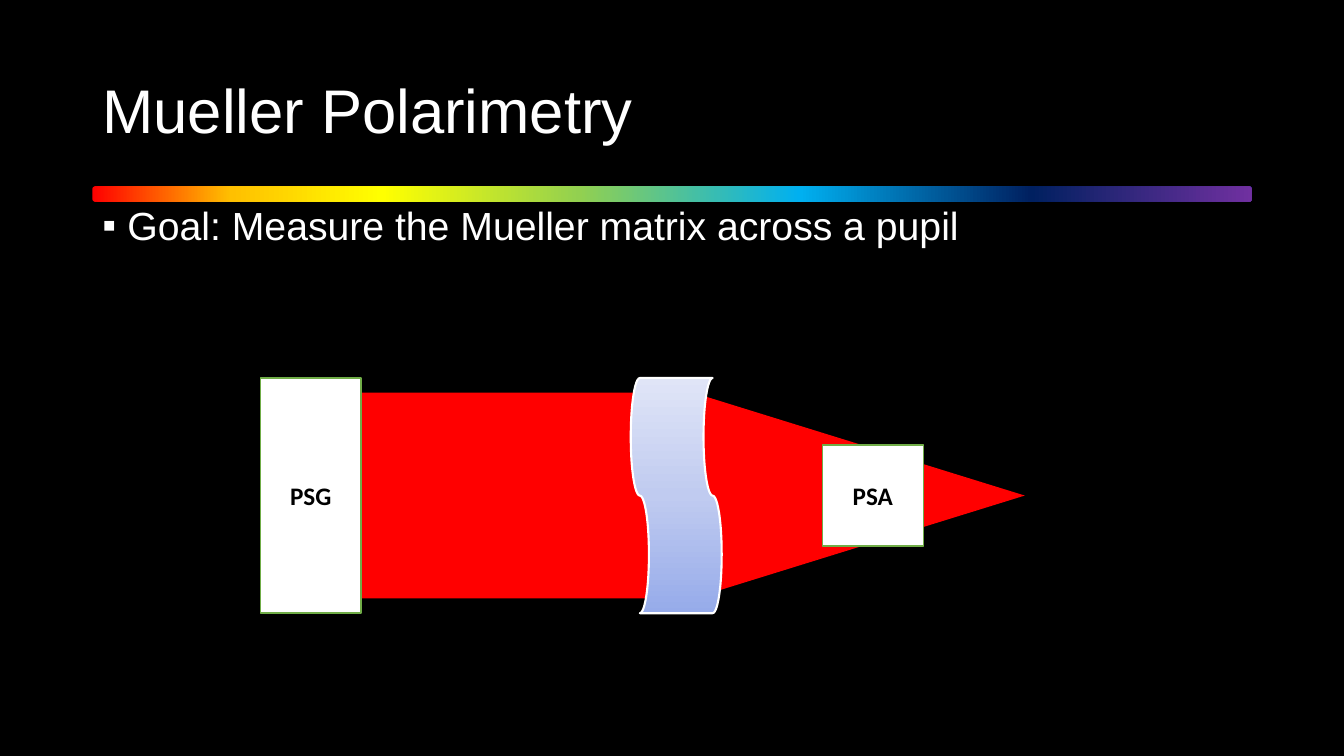
"""Build the Mueller polarimetry slide."""
from lxml import etree
from pptx import Presentation
from pptx.dml.color import RGBColor
from pptx.enum.shapes import MSO_SHAPE
from pptx.enum.text import MSO_ANCHOR, PP_ALIGN
from pptx.oxml.ns import qn
from pptx.util import Pt

RECT, ROUND = MSO_SHAPE.RECTANGLE, MSO_SHAPE.ROUNDED_RECTANGLE
TRIANGLE, TAPE = MSO_SHAPE.ISOSCELES_TRIANGLE, MSO_SHAPE.WAVE
TAPE = MSO_SHAPE.FLOWCHART_PUNCHED_TAPE
TOP, MIDDLE = MSO_ANCHOR.TOP, MSO_ANCHOR.MIDDLE
LEFT, CENTER = PP_ALIGN.LEFT, PP_ALIGN.CENTER

BLACK, WHITE, RED, GREEN = "000000", "FFFFFF", "FF0000", "70AD47"
RAINBOW = [(0, RED), (12, "FFC000"), (25, "FFFF00"), (42, "92D050"),
           (61, "00B0F0"), (81, "002060"), (100, "7030A0")]
GLASS = [(0, "96ABEA"), (50, "C0CBF0"), (100, "E0E5F7")]


def rgb(value):
    return RGBColor.from_string(value)


def set_gradient(sp, stops, angle):
    sp.fill.gradient()
    sp.fill.gradient_angle = angle
    stop_list = next(sp._element.spPr.iter(qn("a:gsLst")))
    stop_list.clear()
    for pos, color in stops:
        gs = etree.SubElement(stop_list, qn("a:gs"), pos=str(pos * 1000))
        etree.SubElement(gs, qn("a:srgbClr"), val=color)


def add_shape(s, kind, x, y, w, h, fill, angle=0, line=None, weight=1, rotation=0):
    sp = s.shapes.add_shape(kind, Pt(x), Pt(y), Pt(w), Pt(h))
    sp.shadow.inherit = False
    sp.rotation = rotation
    if isinstance(fill, list):
        set_gradient(sp, fill, angle)
    else:
        sp.fill.solid()
        sp.fill.fore_color.rgb = rgb(fill)
    if line:
        sp.line.color.rgb = rgb(line)
        sp.line.width = Pt(weight)
    else:
        sp.line.fill.background()
    return sp


def set_text(sp, text, size, font="Arial", color=WHITE, bold=False, align=LEFT,
             anchor=MIDDLE, spacing=1.0, before=0, bullet=None, indent=18):
    tf = sp.text_frame
    tf.word_wrap = True
    tf.vertical_anchor = anchor
    p = tf.paragraphs[0]
    p.alignment = align
    p.line_spacing = spacing
    p.space_before = Pt(before)
    if bullet:
        pPr = p._p.get_or_add_pPr()
        pPr.set("marL", str(Pt(indent)))
        pPr.set("indent", str(-Pt(indent)))
        etree.SubElement(pPr, qn("a:buFont"), typeface=font)
        etree.SubElement(pPr, qn("a:buChar"), char=bullet)
    r = p.add_run()
    r.text = text
    r.font.name, r.font.size, r.font.bold = font, Pt(size), bold
    r.font.color.rgb = rgb(color)


def add_header(s, x, y, w, h):
    bar_h = 10.8
    add_shape(s, ROUND, x, y + h, w, bar_h, RAINBOW)
    title = s.shapes.add_textbox(Pt(x), Pt(y), Pt(w), Pt(h))
    set_text(title, "Mueller Polarimetry", 44, spacing=0.9)


def add_body(s, x, y, w, h):
    body = s.shapes.add_textbox(Pt(x), Pt(y), Pt(w), Pt(h))
    set_text(body, "Goal: Measure the Mueller matrix across a pupil", 28,
             anchor=TOP, spacing=0.9, before=10, bullet="▪")


def add_optics(s, x, y, w, h):
    axis = y + h / 2
    beam_h, cone_w, unit = 147, 237, 72

    def on_axis(kind, center, length, height, fill, **style):
        return add_shape(s, kind, x + center - length / 2, axis - height / 2,
                         length, height, fill, **style)

    on_axis(RECT, 169.5, 254, beam_h, RED)
    on_axis(TRIANGLE, w - cone_w / 2, beam_h, cone_w, RED, rotation=90)
    on_axis(TAPE, 297, h, 65, GLASS, angle=180, line=WHITE, weight=1.5, rotation=90)
    for label, center, height in (("PSA", 437.5, unit), ("PSG", unit / 2, h)):
        sp = on_axis(RECT, center, unit, height, WHITE, line=GREEN)
        set_text(sp, label, 18, font="Calibri", color=BLACK, bold=True, align=CENTER)


def main():
    prs = Presentation()
    prs.slide_width, prs.slide_height = Pt(960), Pt(540)
    s = prs.slides.add_slide(prs.slide_layouts[6])
    s.background.fill.solid()
    s.background.fill.fore_color.rgb = rgb(BLACK)
    add_header(s, 66, 28.8, 828, 104.4)
    add_body(s, 66, 144, 828, 342.7)
    add_optics(s, 186, 270, 546, 168)
    prs.save("out.pptx")


main()
